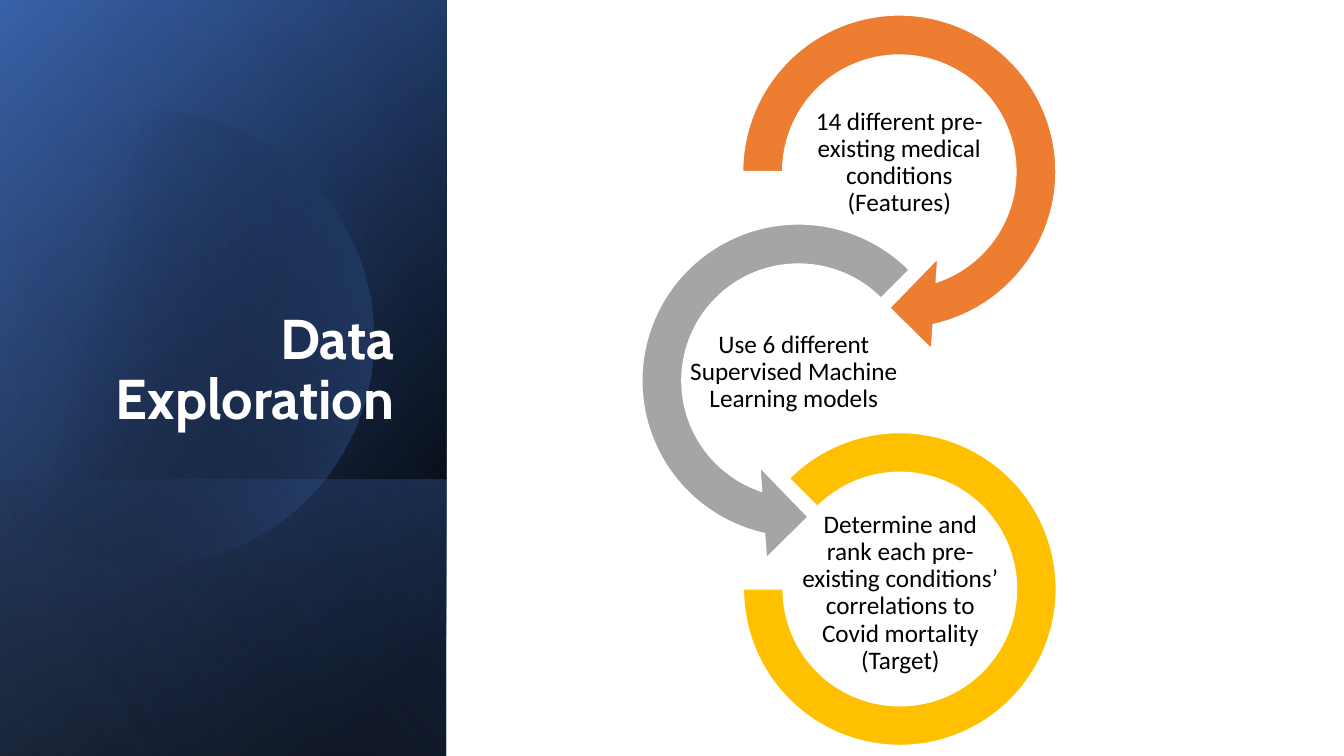
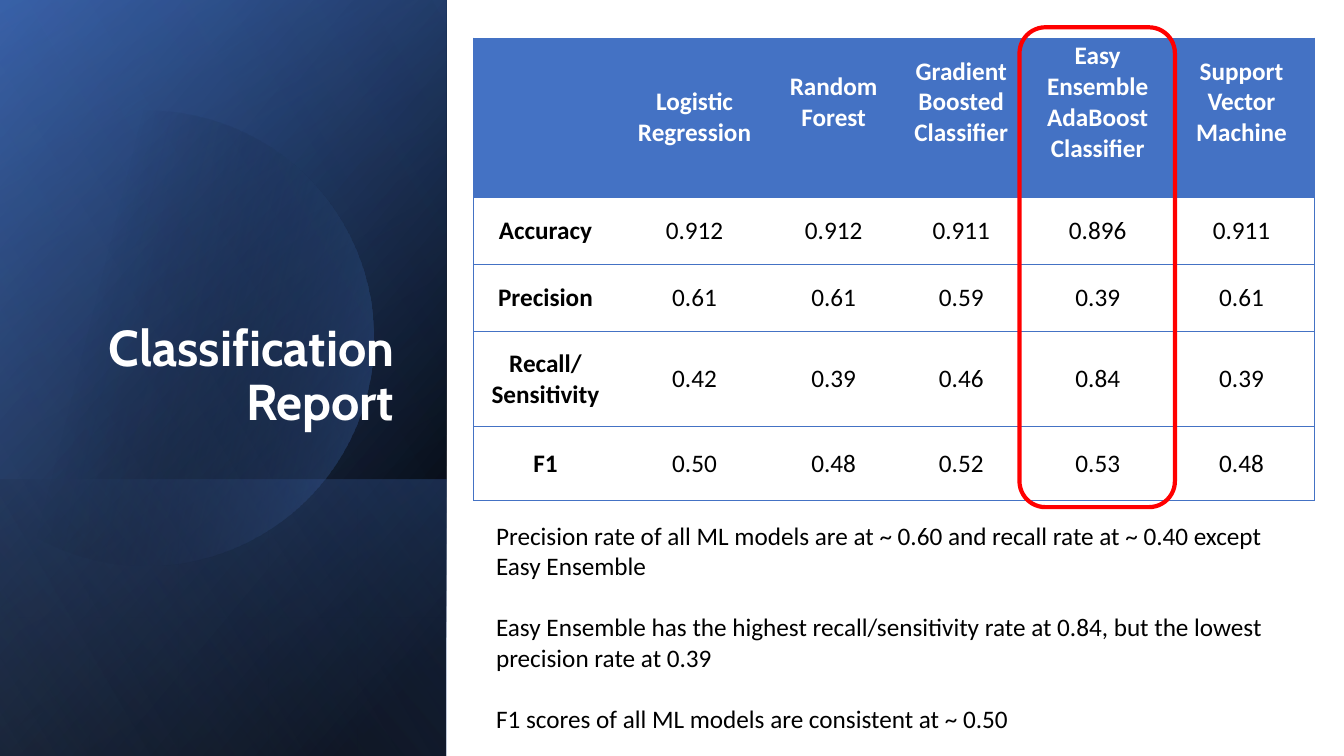
from math import acos, cos, sin

from lxml.etree import SubElement
from pptx import Presentation
from pptx.dml.color import RGBColor
from pptx.enum.shapes import MSO_SHAPE
from pptx.enum.text import MSO_ANCHOR, PP_ALIGN
from pptx.oxml.ns import qn
from pptx.util import Pt

PX = 9525
SLIDE_WIDTH, SLIDE_HEIGHT = 1280, 720
SIDEBAR_WIDTH = 425

WHITE = RGBColor(0xFF, 0xFF, 0xFF)
BLACK = RGBColor(0x00, 0x00, 0x00)
BLUE = RGBColor(0x44, 0x72, 0xC4)
DEEP_BLUE = RGBColor(0x2F, 0x55, 0x97)
PALE_BLUE = RGBColor(0x8F, 0xAA, 0xDC)
ORANGE = RGBColor(0xED, 0x7D, 0x31)
GRAY = RGBColor(0xA5, 0xA5, 0xA5)
GOLD = RGBColor(0xFF, 0xC0, 0x00)
RED = RGBColor(0xFF, 0x00, 0x00)

TITLE_FONT = "Cabin"
BODY_FONT = "Calibri"
BODY_SIZE = 18

METRICS = [
    ["", "Logistic Regression", "Random Forest", "Gradient Boosted Classifier",
     "Easy Ensemble AdaBoost\nClassifier", "Support Vector Machine"],
    ["Accuracy", "0.912", "0.912", "0.911", "0.896", "0.911"],
    ["Precision", "0.61", "0.61", "0.59", "0.39", "0.61"],
    ["Recall/\nSensitivity", "0.42", "0.39", "0.46", "0.84", "0.39"],
    ["F1", "0.50", "0.48", "0.52", "0.53", "0.48"],
]
COLUMN_WIDTHS = [137, 147, 118, 125, 135, 139]
ROW_HEIGHTS = [152, 64, 64, 90, 71]
FINDINGS = [
    "Precision rate of all ML models are at ~ 0.60 and recall rate at ~ 0.40 except Easy Ensemble",
    "Easy Ensemble has the highest recall/sensitivity rate at 0.84, but the lowest precision rate at 0.39",
    "F1 scores of all ML models are consistent at ~ 0.50",
]


def px(*lengths):
    return [round(length * PX) for length in lengths]


def fill_gradient(shape, stops, angle):
    shape.shadow.inherit = False
    shape.line.fill.background()
    shape.fill.gradient()
    shape.fill.gradient_angle = angle
    for stop, (position, color, _) in zip(shape.fill.gradient_stops, stops):
        stop.position = position
        stop.color.rgb = color
    colors = shape._element.spPr.iter(qn("a:srgbClr"))
    for element, (_, _, opacity) in zip(list(colors), stops):
        SubElement(element, qn("a:alpha")).set("val", str(opacity * 1000))


def add_preset(slide, kind, box, color, line_color, line_width, adjustments=()):
    shape = slide.shapes.add_shape(kind, *px(*box))
    shape.shadow.inherit = False
    if color is None:
        shape.fill.background()
    else:
        shape.fill.solid()
        shape.fill.fore_color.rgb = color
    shape.line.color.rgb = line_color
    shape.line.width = Pt(line_width)
    for index, value in enumerate(adjustments):
        shape.adjustments[index] = value
    return shape


def style_paragraph(paragraph, color, size=BODY_SIZE, font=BODY_FONT, bold=False, align=PP_ALIGN.CENTER):
    paragraph.alignment = align
    paragraph.font.name = font
    paragraph.font.size = Pt(size)
    paragraph.font.bold = bold
    paragraph.font.color.rgb = color


def add_text_box(slide, box, text, anchor, inset=None):
    frame = slide.shapes.add_textbox(*px(*box)).text_frame
    frame.word_wrap = True
    frame.vertical_anchor = anchor
    if inset is not None:
        frame.margin_left = frame.margin_right = inset * PX
        frame.margin_top = frame.margin_bottom = inset * PX
    frame.text = text
    return frame


def add_disc(slide, center_x, center_y, radius):
    limit = acos(-center_x / radius)
    steps = 120
    angles = [limit * (2 * step / steps - 1) for step in range(steps + 1)]
    points = [px(center_x + radius * cos(angle), center_y + radius * sin(angle)) for angle in angles]
    builder = slide.shapes.build_freeform(*points[0], scale=1.0)
    builder.add_line_segments(points[1:], close=True)
    fill_gradient(builder.convert_to_shape(), [(0.29, BLACK, 0), (1, BLUE, 43)], 346)


def add_panel(slide, box, stops, angle):
    panel = slide.shapes.add_shape(MSO_SHAPE.RECTANGLE, *px(*box))
    fill_gradient(panel, stops, angle)


def add_sidebar(slide, title, title_size):
    full = (0, 0, SIDEBAR_WIDTH, SLIDE_HEIGHT)
    lower = (0, 457, SIDEBAR_WIDTH, SLIDE_HEIGHT - 457)
    add_panel(slide, full, [(0.08, BLACK, 100), (1, DEEP_BLUE, 100)], 140)
    add_panel(slide, full, [(0, BLACK, 0), (0.99, BLUE, 46)], 120)
    add_panel(slide, lower, [(0.02, BLUE, 29), (1, BLACK, 30)], 220)
    add_disc(slide, 139, 322, 217)
    add_panel(slide, full, [(0, BLACK, 0), (0.99, PALE_BLUE, 11)], 210)
    frame = add_text_box(slide, (49, 61, 336, 355), title, MSO_ANCHOR.BOTTOM)
    paragraph = frame.paragraphs[0]
    paragraph.line_spacing = 0.9
    style_paragraph(paragraph, WHITE, title_size, TITLE_FONT, True, PP_ALIGN.RIGHT)


def add_cycle(slide, left, top):
    steps = [
        (MSO_SHAPE.CIRCULAR_ARROW, (96, 0, 347, 347), ORANGE,
         (0.11, 11.42, 45, 108, 0.125), (173, 117, 193, 96),
         "14 different pre-existing medical conditions (Features)"),
        (MSO_SHAPE.LEFT_CIRCULAR_ARROW, (0, 199, 347, 347), GRAY,
         (0.11, 11.42, 63, 189, 0.125), (55, 304, 228, 121),
         "Use 6 different Supervised Machine Learning models"),
        (MSO_SHAPE.BLOCK_ARC, (121, 422, 298, 298), GOLD,
         (135, 108, 0.127), (174, 527, 193, 96),
         "Determine and rank each pre-existing conditions’ correlations to Covid mortality (Target)"),
    ]
    for kind, (x, y, width, height), color, adjustments, label_box, text in steps:
        add_preset(slide, kind, (left + x, top + y, width, height), color, WHITE, 1, adjustments)
        x, y, width, height = label_box
        frame = add_text_box(slide, (left + x, top + y, width, height), text, MSO_ANCHOR.MIDDLE, 1)
        frame.paragraphs[0].line_spacing = 0.9
        style_paragraph(frame.paragraphs[0], BLACK)


def set_borders(cell, visible_sides):
    properties = cell._tc.get_or_add_tcPr()
    for index, side in enumerate("LRTB"):
        line = SubElement(properties, qn(f"a:ln{side}"))
        properties.insert(index, line)
        if side in visible_sides:
            line.set("w", str(Pt(0.5)))
            fill = SubElement(line, qn("a:solidFill"))
            SubElement(fill, qn("a:srgbClr")).set("val", str(BLUE))
        else:
            SubElement(line, qn("a:noFill"))


def add_metrics_table(slide, left, top):
    box = (left, top, sum(COLUMN_WIDTHS), sum(ROW_HEIGHTS))
    table = slide.shapes.add_table(len(METRICS), len(COLUMN_WIDTHS), *px(*box)).table
    table.first_row = table.horz_banding = False
    for column, width in zip(table.columns, COLUMN_WIDTHS):
        column.width = width * PX
    for row, height in zip(table.rows, ROW_HEIGHTS):
        row.height = height * PX
    last_column = len(COLUMN_WIDTHS) - 1
    for row_index, values in enumerate(METRICS):
        for column_index, value in enumerate(values):
            cell = table.cell(row_index, column_index)
            header = row_index == 0
            cell.text = value
            cell.vertical_anchor = MSO_ANCHOR.MIDDLE
            cell.margin_left = cell.margin_right = 5 * PX
            cell.margin_top = 2 * PX
            cell.margin_bottom = (31 if header and column_index > 1 else 2) * PX
            cell.fill.solid()
            cell.fill.fore_color.rgb = BLUE if header else WHITE
            for paragraph in cell.text_frame.paragraphs:
                style_paragraph(paragraph, WHITE if header else BLACK, bold=header or column_index == 0)
            sides = "TB" + "L" * (column_index == 0) + "R" * (column_index == last_column)
            set_borders(cell, sides)


def add_findings(slide, box):
    frame = add_text_box(slide, box, "\n".join(FINDINGS), MSO_ANCHOR.TOP)
    for index, paragraph in enumerate(frame.paragraphs):
        style_paragraph(paragraph, BLACK, align=PP_ALIGN.LEFT)
        if index:
            paragraph.space_before = Pt(22)


def build_exploration_slide(slide):
    add_sidebar(slide, "Data Exploration", 40)
    add_cycle(slide, 587, -10)


def build_report_slide(slide):
    add_sidebar(slide, "Classification Report", 36)
    add_metrics_table(slide, 451, 36)
    add_preset(slide, MSO_SHAPE.ROUNDED_RECTANGLE, (971, 26, 148, 457), None, RED, 3)
    add_findings(slide, (463, 491, 771, 229))


def main():
    presentation = Presentation()
    presentation.slide_width, presentation.slide_height = px(SLIDE_WIDTH, SLIDE_HEIGHT)
    for build_slide in (build_exploration_slide, build_report_slide):
        build_slide(presentation.slides.add_slide(presentation.slide_layouts[6]))
    presentation.save("out.pptx")


if __name__ == "__main__":
    main()
